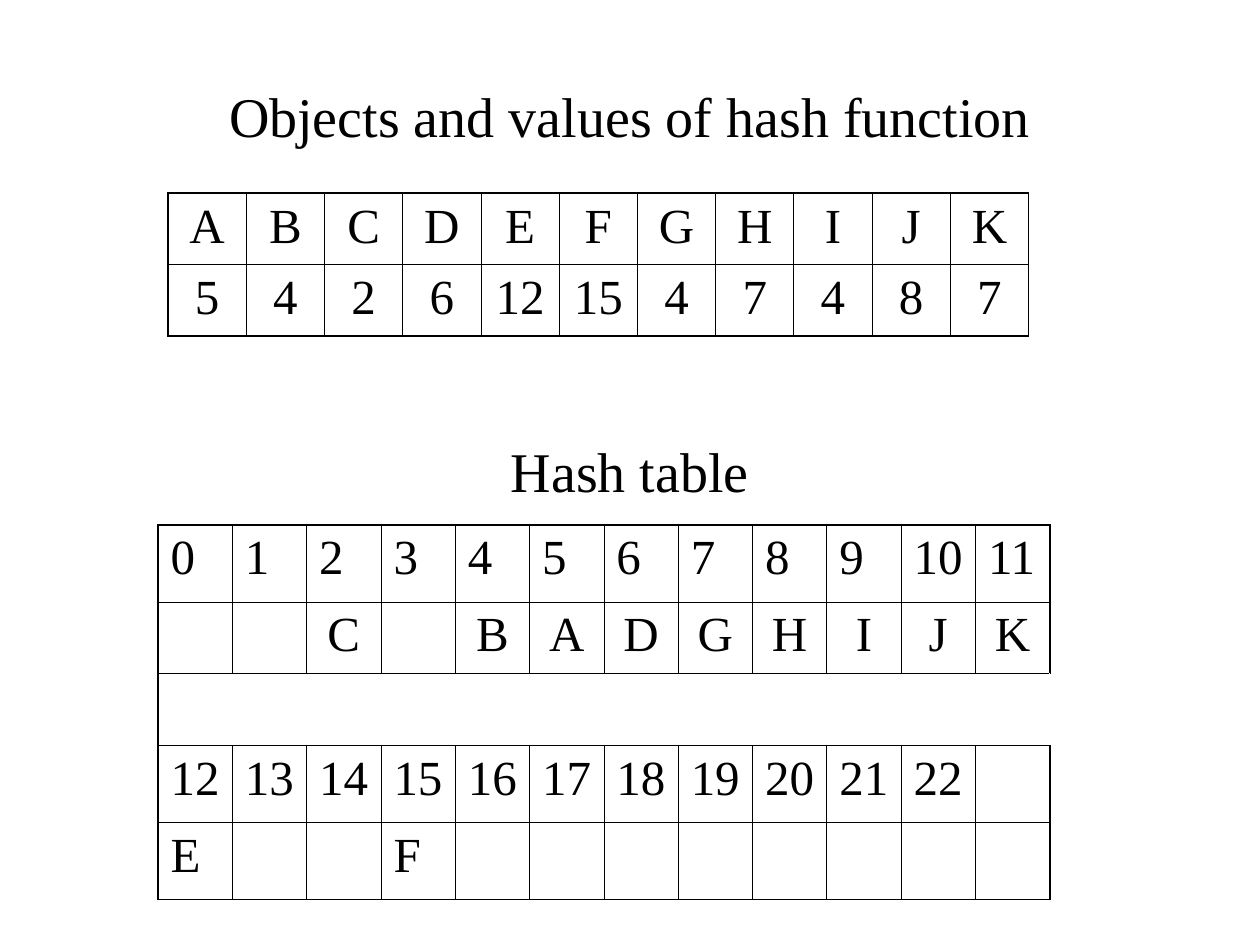
from lxml.etree import SubElement
from pptx import Presentation
from pptx.dml.color import RGBColor
from pptx.enum.text import PP_ALIGN
from pptx.oxml.ns import qn
from pptx.util import Emu, Pt

EMU_PER_PX = 914400 / 126
BLACK = RGBColor(0, 0, 0)
FONT = "Times New Roman"
FRAME_LINE = Pt(1.08)
GRID_LINE = Pt(0.45)

HEADING_FORMAT = {"alignment": PP_ALIGN.CENTER, "line_spacing": 1.25, "space_after": Pt(2)}

OBJECT_ROWS = [list("ABCDEFGHIJK"), [5, 4, 2, 6, 12, 15, 4, 7, 4, 8, 7]]
SLOT_COUNT = 12
HASH_ROWS = [
    list(range(SLOT_COUNT)),
    ["", "", "C", "", *"BADGHIJK"],
    [""] * SLOT_COUNT,
    [*range(SLOT_COUNT, 23), ""],
    ["E", "", "", "F"] + [""] * 8,
]


def px(length):
    return Emu(round(length * EMU_PER_PX))


def set_format(target, values):
    for name, value in values.items():
        setattr(target, name, value)


def add_span(para, text, size):
    span = para.add_run()
    span.text = str(text)
    set_format(span.font, {"name": FONT, "size": Pt(size)})
    span.font.color.rgb = BLACK


def add_headings(page, headings, gap):
    """Put the headings in one box, with gap points above each later one."""
    box = page.shapes.add_textbox(px(0), px(53), px(1260), px(829))
    frame = box.text_frame
    set_format(frame, {"word_wrap": True, "margin_top": px(12)})
    for index, heading in enumerate(headings):
        para = frame.add_paragraph() if index else frame.paragraphs[0]
        set_format(para, HEADING_FORMAT)
        if index:
            para.space_before = Pt(gap)
        add_span(para, heading, 32)


def draw_borders(cell, widths):
    properties = cell._tc.get_or_add_tcPr()
    for side, width in widths.items():
        if width is None:
            continue
        line = SubElement(properties, qn(f"a:ln{side}"), w=str(int(width)))
        fill = SubElement(line, qn("a:solidFill"))
        SubElement(fill, qn("a:srgbClr"), val=str(BLACK))


def add_grid(page, left, top, width, heights, rows, centred_rows, merged_rows=()):
    row_count, column_count = len(rows), len(rows[0])
    table = page.shapes.add_table(
        row_count, column_count, px(left), px(top), px(width), px(sum(heights))
    ).table
    set_format(table, {"first_row": False, "horz_banding": False})
    for column in table.columns:
        column.width = px(width / column_count)
    for r, (height, values) in enumerate(zip(heights, rows)):
        table.rows[r].height = px(height)
        upright = None if r in merged_rows else GRID_LINE
        for c, value in enumerate(values):
            cell = table.cell(r, c)
            draw_borders(cell, {
                "L": FRAME_LINE if c == 0 else upright,
                "R": FRAME_LINE if c == column_count - 1 else upright,
                "T": FRAME_LINE if r == 0 else GRID_LINE,
                "B": FRAME_LINE if r == row_count - 1 else GRID_LINE,
            })
            cell.fill.background()
            para = cell.text_frame.paragraphs[0]
            para.alignment = PP_ALIGN.CENTER if r in centred_rows else PP_ALIGN.LEFT
            if value != "":
                add_span(para, value, 28)
        if r in merged_rows:
            table.cell(r, 0).merge(table.cell(r, column_count - 1))


def main():
    deck = Presentation()
    set_format(deck, {"slide_width": px(1260), "slide_height": px(945)})
    page = deck.slides.add_slide(deck.slide_layouts[6])
    add_headings(page, ["Objects and values of hash function", "Hash table"], gap=152.5)
    add_grid(page, 168, 193, 861, [71, 71], OBJECT_ROWS, centred_rows=(0, 1))
    add_grid(page, 158, 525, 892, [77, 71, 72, 77, 77], HASH_ROWS,
             centred_rows=(1,), merged_rows=(2,))
    deck.save("out.pptx")


if __name__ == "__main__":
    main()
